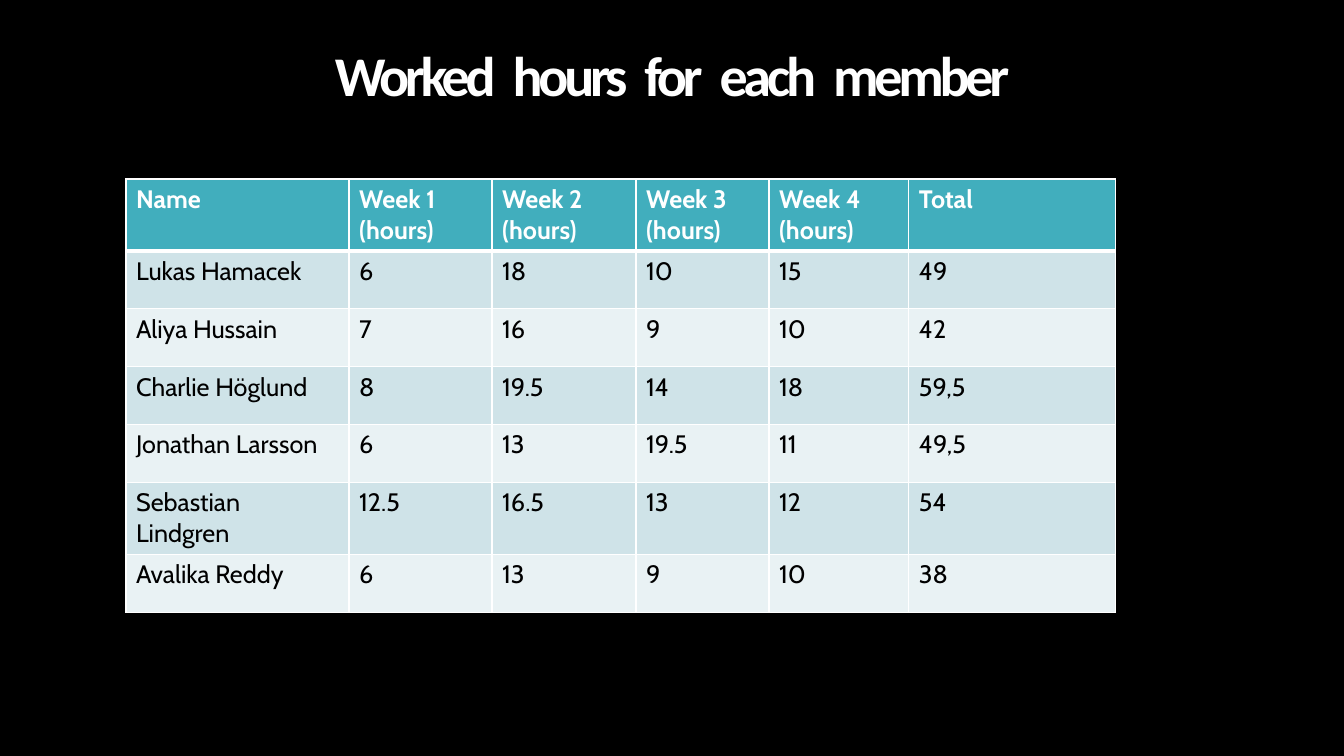
from itertools import product

from lxml.etree import SubElement
from pptx import Presentation
from pptx.dml.color import RGBColor
from pptx.enum.text import MSO_ANCHOR, MSO_AUTO_SIZE, PP_ALIGN
from pptx.oxml.ns import qn
from pptx.util import Emu, Pt

TITLE = "Worked hours for each member"
HEADER = ["Name", "Week 1 (hours)", "Week 2 (hours)", "Week 3 (hours)", "Week 4 (hours)", "Total"]
MEMBERS = [
    ["Lukas Hamacek", "6", "18", "10", "15", "49"],
    ["Aliya Hussain", "7", "16", "9", "10", "42"],
    ["Charlie Höglund", "8", "19.5", "14", "18", "59,5"],
    ["Jonathan Larsson", "6", "13", "19.5", "11", "49,5"],
    ["Sebastian Lindgren", "12.5", "16.5", "13", "12", "54"],
    ["Avalika Reddy", "6", "13", "9", "10", "38"],
]
COLORS = {
    "background": "000000",
    "title": "FFFFFF",
    "header": "41AEBD",
    "header_text": "FFFFFF",
    "odd_row": "CFE3E8",
    "even_row": "E9F2F4",
    "body_text": "000000",
    "border": "FFFFFF",
}
SLIDE_WIDTH, SLIDE_HEIGHT = 1344, 756
TITLE_TOP, TITLE_HEIGHT = 43, 106
TABLE_LEFT, TABLE_TOP = 126, 179
COLUMN_WIDTHS = [223, 143, 144, 133, 140, 207]
ROW_HEIGHT = 58
LETTER_SPACING, WORD_SPACING = -3, 3


def px(length):
    return Emu(round(length * 914400 / 100.8))


def color(key):
    return RGBColor.from_string(COLORS[key])


def style_font(font, name, size, key, bold):
    font.name, font.size, font.bold = name, Pt(size), bold
    font.color.rgb = color(key)


def add_border(cell, side, width):
    properties = cell._tc.get_or_add_tcPr()
    line = SubElement(properties, qn(f"a:ln{side}"), w=str(Pt(width)))
    fill = SubElement(line, qn("a:solidFill"))
    SubElement(fill, qn("a:srgbClr"), val=COLORS["border"])


def add_title(slide):
    title = slide.shapes.title
    title.left, title.top = px(0), px(TITLE_TOP)
    title.width, title.height = px(SLIDE_WIDTH), px(TITLE_HEIGHT)
    frame = title.text_frame
    frame.word_wrap = False
    frame.auto_size = MSO_AUTO_SIZE.NONE
    frame.vertical_anchor = MSO_ANCHOR.TOP
    line = frame.paragraphs[0]
    line.alignment = PP_ALIGN.CENTER
    line.line_spacing = 0.9
    for part in TITLE.replace(" ", "| |").split("|"):
        run = line.add_run()
        run.text = part
        style_font(run.font, "Calibri", 40, "title", True)
        spacing = WORD_SPACING if part == " " else LETTER_SPACING
        run.font._element.set("spc", str(spacing * 100))


def add_hours(slide):
    rows = [HEADER] + MEMBERS
    hours = slide.shapes.add_table(
        len(rows), len(HEADER), px(TABLE_LEFT), px(TABLE_TOP),
        px(sum(COLUMN_WIDTHS)), px(ROW_HEIGHT * len(rows)),
    ).table
    for column, width in zip(hours.columns, COLUMN_WIDTHS):
        column.width = px(width)
    for row in hours.rows:
        row.height = px(ROW_HEIGHT)
    for r, c in product(range(len(rows)), range(len(HEADER))):
        is_header = r == 0
        cell = hours.cell(r, c)
        cell.text = rows[r][c]
        text_key = "header_text" if is_header else "body_text"
        style_font(cell.text_frame.paragraphs[0].runs[0].font, "Cabin", 18, text_key, is_header)
        for side in "LRTB":
            under_header = (r, side) in [(0, "B"), (1, "T")]
            add_border(cell, side, 3 if under_header else 1)
        cell.fill.solid()
        fill_key = "header" if is_header else "odd_row" if r % 2 else "even_row"
        cell.fill.fore_color.rgb = color(fill_key)


def main():
    deck = Presentation()
    deck.slide_width, deck.slide_height = px(SLIDE_WIDTH), px(SLIDE_HEIGHT)
    slide = deck.slides.add_slide(deck.slide_layouts.get_by_name("Title Only"))
    slide.background.fill.solid()
    slide.background.fill.fore_color.rgb = color("background")
    add_title(slide)
    add_hours(slide)
    deck.save("out.pptx")


if __name__ == "__main__":
    main()
